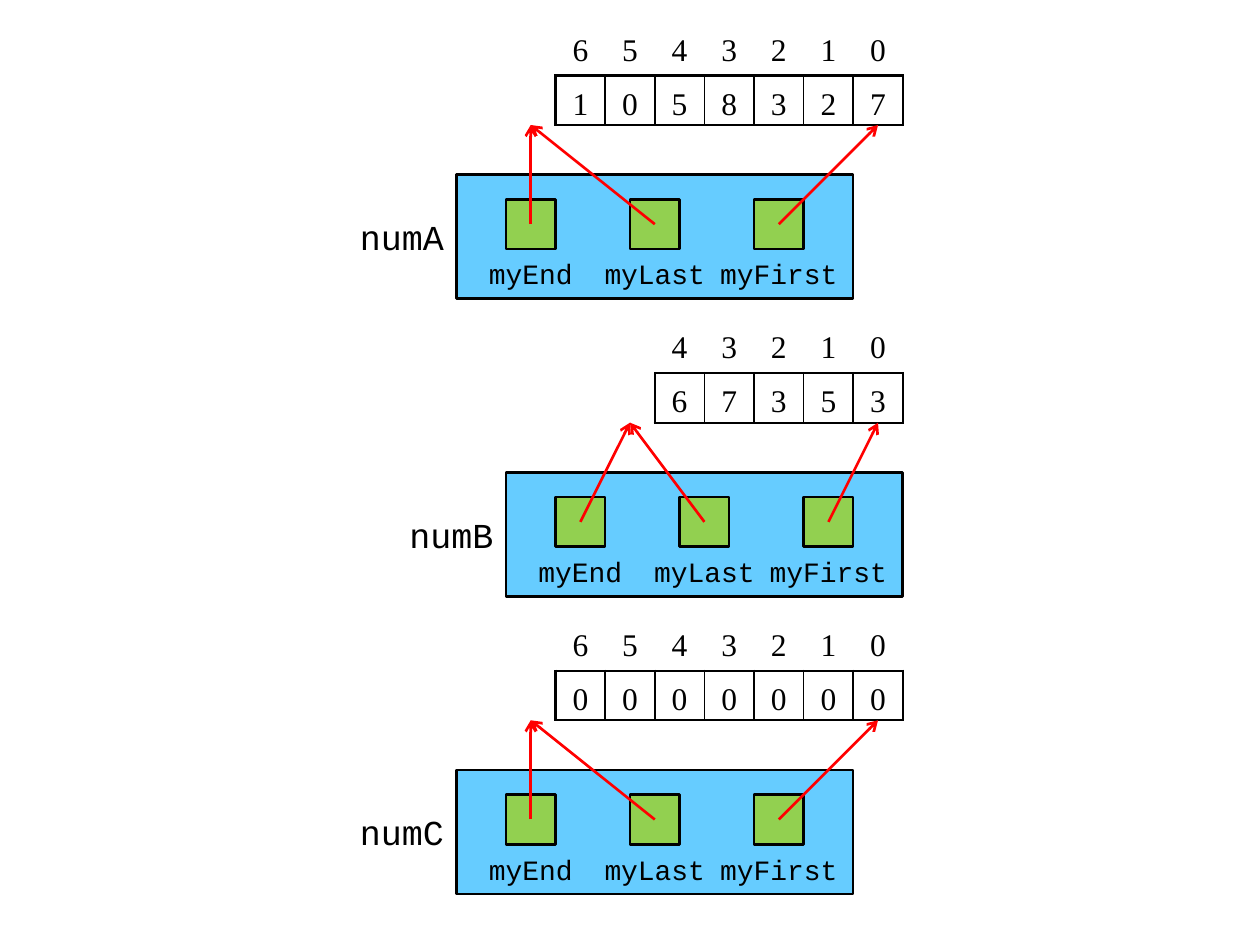
from dataclasses import dataclass
from typing import Any

from lxml import etree
from pptx import Presentation
from pptx.dml.color import RGBColor
from pptx.enum.shapes import MSO_CONNECTOR, MSO_SHAPE
from pptx.enum.text import MSO_ANCHOR, PP_ALIGN
from pptx.oxml.ns import qn
from pptx.util import Cm, Pt

RECT = MSO_SHAPE.RECTANGLE
PANEL = MSO_SHAPE.FLOWCHART_PROCESS
LINE = MSO_CONNECTOR.STRAIGHT
MIDDLE = MSO_ANCHOR.MIDDLE
CENTER, RIGHT = PP_ALIGN.CENTER, PP_ALIGN.RIGHT

HUES = {"ink": "000000", "panel": "66CCFF", "slot": "92D050", "arrow": "FF0000"}
SERIF, MONO = "Times New Roman", "Courier New"
EDGE = 18.2
UNIT = 1
THICK, THIN = 1.5, 1
FIELDS = ("myEnd", "myLast", "myFirst")


@dataclass(frozen=True)
class Number:
    name: str
    digits: str
    top: float
    left: float


NUMBERS = (
    Number("numA", "1058327", 0.52, 9.2),
    Number("numB", "67353", 6.52, 10.2),
    Number("numC", "0000000", 12.52, 9.2),
)


def apply(target: Any, values: dict[str, Any]) -> None:
    for key, value in values.items():
        setattr(target, key, value)


def hue(name: str) -> RGBColor:
    return RGBColor.from_string(HUES[name])


def write(frame: Any, text: str, font: str, size: int, align: Any, space: float = 1) -> None:
    par = frame.paragraphs[0]
    apply(par, {"alignment": align, "line_spacing": space})
    run = par.add_run()
    run.text = text
    apply(run.font, {"name": font, "size": Pt(size), "bold": False})
    run.font.color.rgb = hue("ink")


def border(cell: Any, sides: dict[str, float]) -> None:
    props = cell._tc.get_or_add_tcPr()
    for side, width in sides.items():
        line = etree.SubElement(props, qn(f"a:ln{side}"), w=str(Pt(width)))
        fill = etree.SubElement(line, qn("a:solidFill"))
        etree.SubElement(fill, qn("a:srgbClr"), val=HUES["ink"])


def draw_table(slide: Any, num: Number) -> None:
    count = len(num.digits)
    left = EDGE - count * UNIT
    table = slide.shapes.add_table(
        2, count, Cm(left), Cm(num.top), Cm(count * UNIT), Cm(2 * UNIT)
    ).table
    apply(table, {"first_row": False, "horz_banding": False})
    for part in table.columns:
        part.width = Cm(UNIT)
    for part in table.rows:
        part.height = Cm(UNIT)
    margins = dict.fromkeys(
        ("margin_left", "margin_right", "margin_top", "margin_bottom"), 0
    )
    for col, digit in enumerate(num.digits):
        sides = {
            "L": THICK if col == 0 else THIN,
            "R": THICK if col == count - 1 else THIN,
            "T": THICK,
            "B": THICK,
        }
        rows = ((str(count - 1 - col), 1, {"B": THICK}), (digit, 1.25, sides))
        for row, (text, space, lines) in enumerate(rows):
            cell = table.cell(row, col)
            apply(cell, {"vertical_anchor": MIDDLE, **margins})
            border(cell, lines)
            cell.fill.background()
            write(cell.text_frame, text, SERIF, 18, CENTER, space)


def draw_block(slide: Any, kind: Any, left: float, top: float,
               width: float, height: float, fill: str = "") -> Any:
    shape = slide.shapes.add_shape(kind, Cm(left), Cm(top), Cm(width), Cm(height))
    shape.shadow.inherit = False
    if fill:
        shape.fill.solid()
        shape.fill.fore_color.rgb = hue(fill)
        shape.line.color.rgb = hue("ink")
        shape.line.width = Pt(THICK)
    else:
        shape.fill.background()
        shape.line.fill.background()
    return shape


def draw_arrow(slide: Any, start: tuple[float, float], end: tuple[float, float]) -> None:
    points = [Cm(value) for value in start + end]
    arrow = slide.shapes.add_connector(LINE, *points)
    arrow.line.color.rgb = hue("arrow")
    arrow.line.width = Pt(THICK)
    etree.SubElement(arrow.line._get_or_add_ln(), qn("a:tailEnd"), type="arrow")
    etree.SubElement(arrow._element.spPr, qn("a:effectLst"))


def draw_number(slide: Any, num: Number) -> None:
    draw_table(slide, num)
    top = num.top + 3
    label = slide.shapes.add_textbox(
        Cm(num.left - 2.5), Cm(top + 0.5), Cm(2.5), Cm(1.5)
    )
    apply(label.text_frame, {"word_wrap": True, "vertical_anchor": MIDDLE})
    write(label.text_frame, num.name, MONO, 20, RIGHT)
    draw_block(slide, PANEL, num.left, top, 8, 2.5, "panel")

    past = EDGE - (len(num.digits) + 0.5) * UNIT
    goals = (past, past, EDGE - UNIT / 2)
    for spot, (field, goal) in enumerate(zip(FIELDS, goals)):
        left = num.left + 2.5 * spot
        tag = draw_block(slide, PANEL, left, top + 1.5, 3, 1)
        apply(tag.text_frame, {"word_wrap": False, "vertical_anchor": MIDDLE})
        write(tag.text_frame, field, MONO, 16, CENTER)
        draw_block(slide, RECT, left + 1, top + 0.5, UNIT, UNIT, "slot")
        draw_arrow(slide, (left + 1.5, top + 1), (goal, num.top + 2 * UNIT))


def main() -> None:
    deck = Presentation()
    apply(deck, {"slide_width": Cm(25.4), "slide_height": Cm(19.05)})
    slide = deck.slides.add_slide(deck.slide_layouts[6])
    for num in NUMBERS:
        draw_number(slide, num)
    deck.save("out.pptx")


if __name__ == "__main__":
    main()
